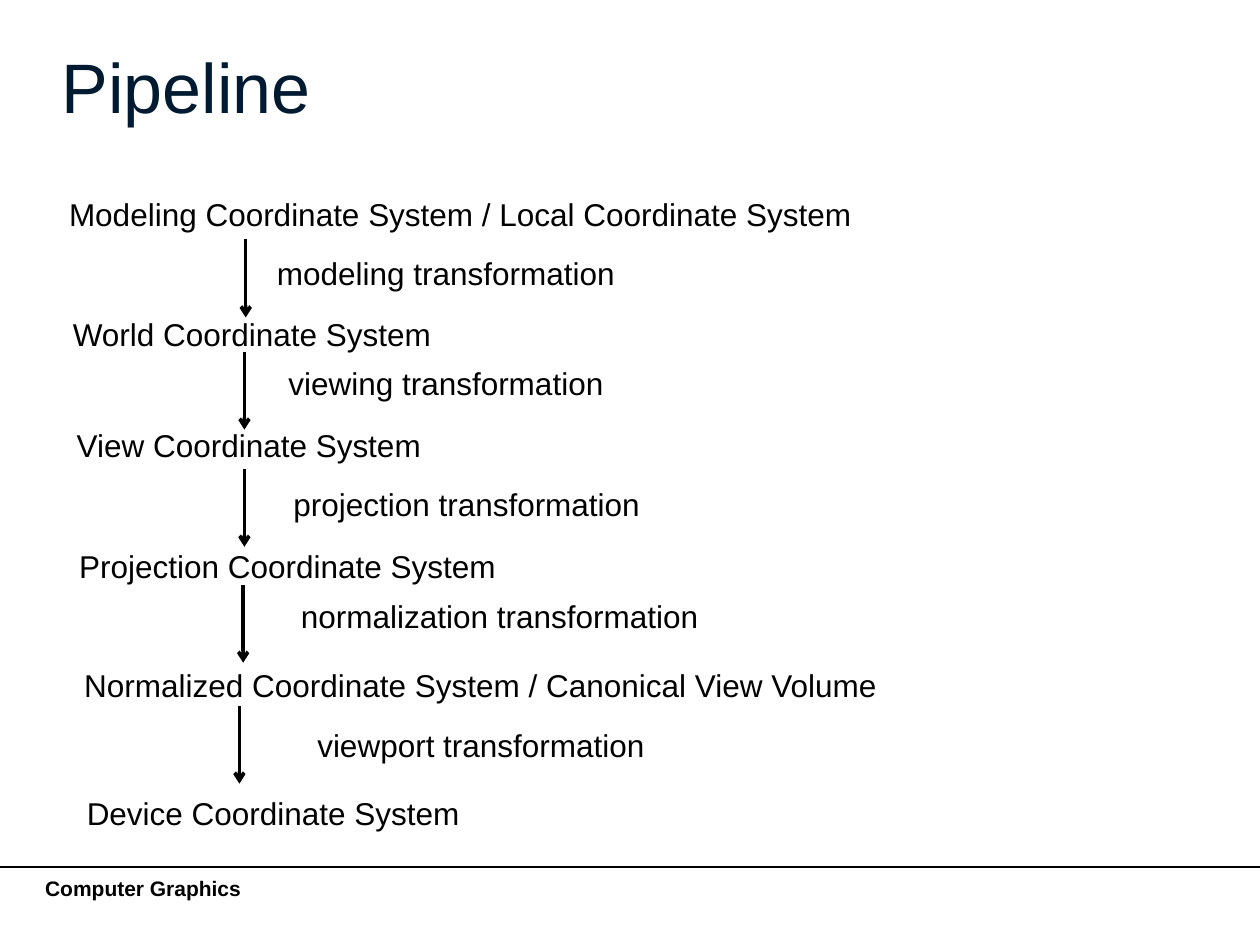
from lxml import etree
from pptx import Presentation
from pptx.dml.color import RGBColor
from pptx.enum.shapes import MSO_CONNECTOR
from pptx.enum.text import MSO_ANCHOR, PP_ALIGN
from pptx.oxml.ns import qn
from pptx.util import Inches, Pt

STRAIGHT = MSO_CONNECTOR.STRAIGHT
MIDDLE = MSO_ANCHOR.MIDDLE
LEFT = PP_ALIGN.LEFT

BLACK = RGBColor(0x00, 0x00, 0x00)
NAVY = RGBColor(0x00, 0x1B, 0x31)

TITLE = {"size": Pt(40), "bold": False}
LABEL = {"size": Pt(18), "bold": False}
FOOTER = {"size": Pt(12), "bold": True}

ROW_H = 0.4
ARROW_H = 0.62

# Coordinate systems and transformations: text, left, top, width
SYSTEMS = [
    ("Modeling Coordinate System / Local Coordinate System", 0.45, 1.5, 7.9),
    ("World Coordinate System", 0.48, 2.45, 3.75),
    ("View Coordinate System", 0.51, 3.33, 3.75),
    ("Projection Coordinate System", 0.53, 4.29, 3.75),
    ("Normalized Coordinate System / Canonical View Volume", 0.57, 5.24, 6.98),
    ("Device Coordinate System", 0.59, 6.25, 6.98),
]
TRANSFORMATIONS = [
    ("modeling transformation", 2.1, 1.97, 3.16),
    ("viewing transformation", 2.19, 2.84, 3.16),
    ("projection transformation", 2.23, 3.8, 3.16),
    ("normalization transformation", 2.29, 4.69, 4.4),
    ("viewport transformation", 2.42, 5.71, 4.4),
]
# Arrow starts: x, y
ARROWS = [(1.95, 1.9), (1.94, 2.79), (1.94, 3.72), (1.93, 4.64), (1.9, 5.6)]


def write(tf, text, style, color=BLACK):
    tf.word_wrap = True
    p = tf.paragraphs[0]
    p.alignment = LEFT
    r = p.add_run()
    r.text = text
    r.font.name = "Arial"
    r.font.color.rgb = color
    for name, value in style.items():
        setattr(r.font, name, value)


def add_title(s, text):
    sp = s.shapes.title
    sp.left, sp.top, sp.width, sp.height = map(Inches, (0.39, 0.25, 9.2, 1))
    tf = sp.text_frame
    tf.vertical_anchor = MIDDLE
    tf.margin_bottom = Inches(0.2)
    write(tf, text, TITLE, NAVY)


def add_label(s, text, left, top, width, height=ROW_H, style=LABEL):
    sp = s.shapes.add_textbox(*map(Inches, (left, top, width, height)))
    write(sp.text_frame, text, style)


def add_line(s, x1, y1, x2, y2, weight, arrow=False):
    line = s.shapes.add_connector(STRAIGHT, *map(Inches, (x1, y1, x2, y2)))
    line.line.color.rgb = BLACK
    line.line.width = Pt(weight)
    if arrow:
        ln = line.line._get_or_add_ln()
        etree.SubElement(ln, qn("a:tailEnd"), type="arrow")
    etree.SubElement(line._element.spPr, qn("a:effectLst"))


def main():
    prs = Presentation()
    prs.slide_width, prs.slide_height = Inches(10), Inches(7.5)
    s = prs.slides.add_slide(prs.slide_layouts[5])

    # Footer
    add_label(s, "Computer Graphics", 0.26, 6.9, 8.22, 0.58, FOOTER)
    add_line(s, 0, 6.88, 10, 6.88, 1)

    # Pipeline
    add_title(s, "Pipeline")
    for label in SYSTEMS + TRANSFORMATIONS:
        add_label(s, *label)
    for x, y in ARROWS:
        add_line(s, x, y, x, y + ARROW_H, 2, arrow=True)

    prs.save("out.pptx")


if __name__ == "__main__":
    main()
